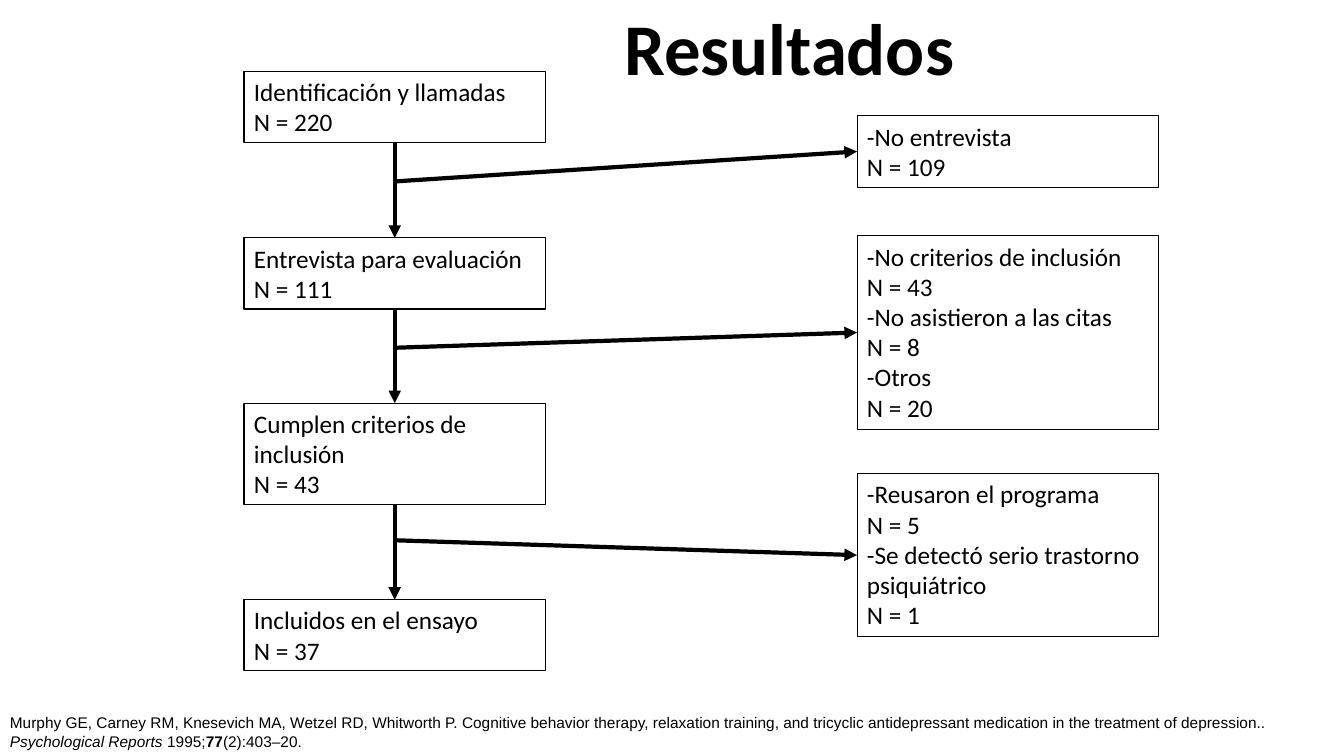
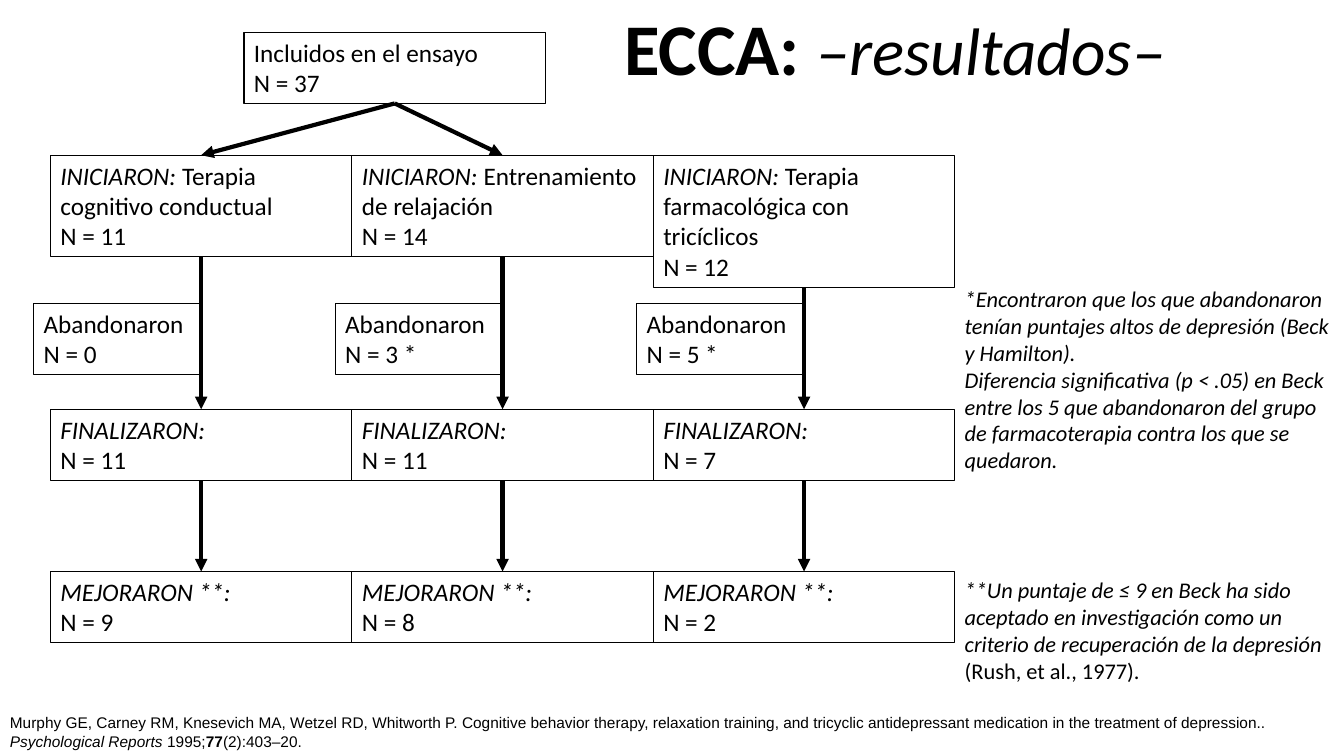
from lxml import etree
from pptx import Presentation
from pptx.dml.color import RGBColor
from pptx.enum.shapes import MSO_CONNECTOR, MSO_SHAPE
from pptx.enum.text import MSO_ANCHOR, MSO_AUTO_SIZE, PP_ALIGN
from pptx.oxml.ns import qn
from pptx.util import Inches, Pt

BLACK = RGBColor(0, 0, 0)
RECT = MSO_SHAPE.RECTANGLE
STRAIGHT = MSO_CONNECTOR.STRAIGHT
TOP, LEFT, BOTTOM = 0, 1, 2
TITLE_ONLY = 5

WIDE = 2.99      # width of a flow box
SLIM = 1.66      # width of a dropout box
MAIN_X = 2.42    # left edge of the main flow
SIDE_X = 8.5     # left edge of the exclusions
NOTE_X = 9.47

CITE = [[
    "Murphy GE, Carney RM, Knesevich MA, Wetzel RD, Whitworth P. "
    "Cognitive behavior therapy, relaxation training, and tricyclic "
    "antidepressant medication in the treatment of depression.. ",
    ("Psychological Reports ", {"italic": True}),
    "1995;",
    ("77", {"bold": True}),
    "(2):403–20.",
]]

# top, line count, paragraphs
STEPS = [
    (0.71, 2, ["Identificación y llamadas", "N = 220"]),
    (2.36, 2, ["Entrevista para evaluación", "N = 111"]),
    (4, 3, ["Cumplen criterios de inclusión", "N = 43"]),
    (5.95, 2, ["Incluidos en el ensayo", "N = 37"]),
]
# branch height on the main arrow, top, line count, paragraphs
EXITS = [
    (1.8, 1.15, 2, ["-No entrevista", "N = 109"]),
    (3.45, 2.34, 6, ["-No criterios de inclusión", "N = 43",
                     "-No asistieron a las citas", "N = 8",
                     "-Otros", "N = 20"]),
    (5.36, 4.7, 5, ["-Reusaron el programa", "N = 5",
                    "-Se detectó serio trastorno psiquiátrico", "N = 1"]),
]
# therapy, line count, started, dropped out, finished, improved
ARMS = [
    ("Terapia cognitivo conductual", 3, "11", "0", "11", "9"),
    ("Entrenamiento de relajación", 3, "14", "3 *", "11", "8"),
    ("Terapia farmacológica con tricíclicos", 4, "12", "5 *", "7", "2"),
]


def style(font, size=18, name="Calibri", bold=False, italic=False):
    font.size, font.name = Pt(size), name
    font.bold, font.italic = bold, italic
    font.color.rgb = BLACK


def write(shape, paras, **fmt):
    """Fill a shape; a paragraph is a string or a list of runs,
    and a run is a string or a (string, format) pair."""
    frame = shape.text_frame
    frame.word_wrap = True
    frame.auto_size = MSO_AUTO_SIZE.NONE
    frame.vertical_anchor = MSO_ANCHOR.TOP
    for i, runs in enumerate(paras):
        para = frame.paragraphs[0] if i == 0 else frame.add_paragraph()
        para.alignment = PP_ALIGN.LEFT
        for part in [runs] if isinstance(runs, str) else runs:
            text, extra = (part, {}) if isinstance(part, str) else part
            run = para.add_run()
            run.text = text
            style(run.font, **{**fmt, **extra})


def add_text(slide, x, y, w, h, paras, **fmt):
    area = slide.shapes.add_textbox(Inches(x), Inches(y), Inches(w), Inches(h))
    write(area, paras, **fmt)


def add_box(slide, x, y, lines, paras, w=WIDE):
    """Draw an outlined box tall enough for its lines of text."""
    box = slide.shapes.add_shape(RECT, Inches(x), Inches(y), Inches(w),
                                 Inches(0.1 + 0.303 * lines))
    box.shadow.inherit = False
    box.fill.background()
    box.line.color.rgb = BLACK
    box.line.width = Pt(0.75)
    write(box, paras)
    return box


def add_arrow(slide, start, end, side=TOP):
    """Join a box's bottom, or an (x, y) point, to a side of another box."""
    fixed = isinstance(start, tuple)
    x, y = start if fixed else (0, 0)
    arrow = slide.shapes.add_connector(STRAIGHT, Inches(x), Inches(y), 0, 0)
    if not fixed:
        arrow.begin_connect(start, BOTTOM)
    arrow.end_connect(end, side)
    arrow.line.color.rgb = BLACK
    arrow.line.width = Pt(3)
    etree.SubElement(arrow.line._get_or_add_ln(), qn("a:tailEnd"),
                     type="triangle")
    etree.SubElement(arrow._element.spPr, qn("a:effectLst"))


def add_slide(deck, title):
    slide = deck.slides.add_slide(deck.slide_layouts[TITLE_ONLY])
    head = slide.shapes.title
    head.left, head.top = Inches(6.09), Inches(-0.02)
    head.width, head.height = Inches(5.97), Inches(0.98)
    write(head, [title], size=52, bold=True)
    add_text(slide, 0, 7.03, 13.33, 0.47, CITE, size=11, name="Arial")
    return slide


def add_flow(deck):
    slide = add_slide(deck, "Resultados")
    boxes = [add_box(slide, MAIN_X, *step) for step in STEPS]
    for box, after in zip(boxes, boxes[1:]):
        add_arrow(slide, box, after)
    for fork, *rest in EXITS:
        side = add_box(slide, SIDE_X, *rest)
        add_arrow(slide, (MAIN_X + WIDE / 2, fork), side, LEFT)


def add_arm(slide, x, arm):
    """Draw one treatment column and return its first box."""
    name, lines, began, left, ended, better = arm
    slant = {"italic": True}
    first = add_box(slide, x, 1.54, lines,
                    [[("INICIARON: ", slant), name], f"N = {began}"])
    done = add_box(slide, x, 4.06, 2,
                   [[("FINALIZARON:", slant)], f"N = {ended}"])
    last = add_box(slide, x, 5.67, 2,
                   [[("MEJORARON **:", slant)], f"N = {better}"])
    add_arrow(slide, first, done)
    add_arrow(slide, done, last)
    add_box(slide, x + WIDE / 2 - SLIM, 3.01, 2,
            ["Abandonaron", f"N = {left}"], w=SLIM)
    return first


def add_trial(deck):
    slide = add_slide(deck, ["ECCA: ", ("–resultados–", {
        "size": 48, "bold": False, "italic": True})])
    root = add_box(slide, MAIN_X, 0.32, 2, STEPS[-1][2])
    firsts = [add_arm(slide, 0.5 + i * WIDE, arm)
              for i, arm in enumerate(ARMS)]
    for first in firsts[:2]:
        add_arrow(slide, root, first)
    add_text(slide, NOTE_X, 2.78, 3.87, 1.99, [
        "*Encontraron que los que abandonaron tenían puntajes altos de "
        "depresión (Beck y Hamilton).",
        "Diferencia significativa (p < .05) en Beck entre los 5 que "
        "abandonaron del grupo de farmacoterapia contra los que se quedaron.",
    ], size=16, italic=True)
    add_text(slide, NOTE_X, 5.67, 3.87, 1.18, [[
        "**Un puntaje de ≤ 9 en Beck ha sido aceptado en investigación como "
        "un criterio de recuperación de la depresión ",
        ("(Rush, et al., 1977).", {"italic": False}),
    ]], size=16, italic=True)


def main():
    deck = Presentation()
    deck.slide_width, deck.slide_height = Inches(13.33), Inches(7.5)
    add_flow(deck)
    add_trial(deck)
    deck.save("out.pptx")


if __name__ == "__main__":
    main()
